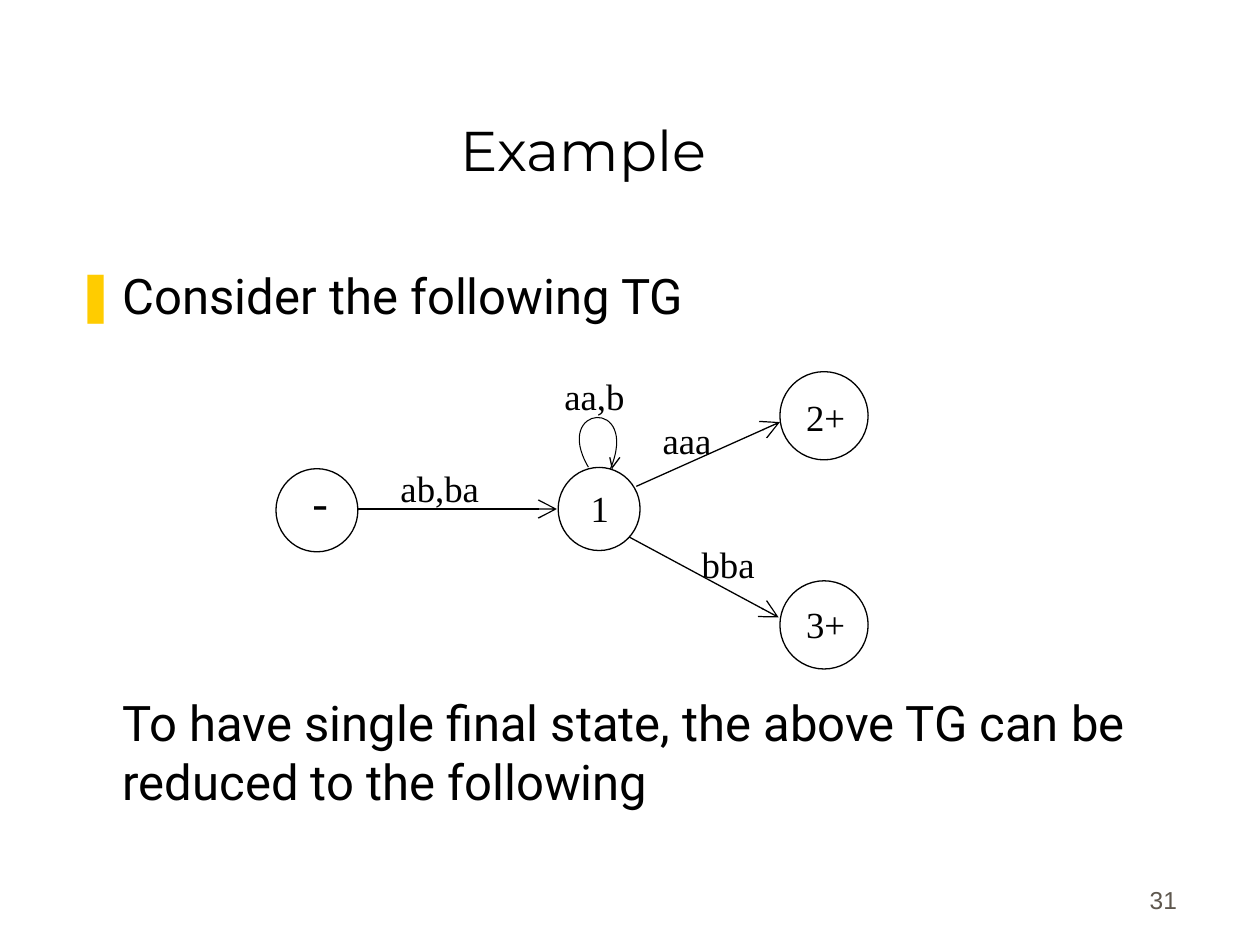
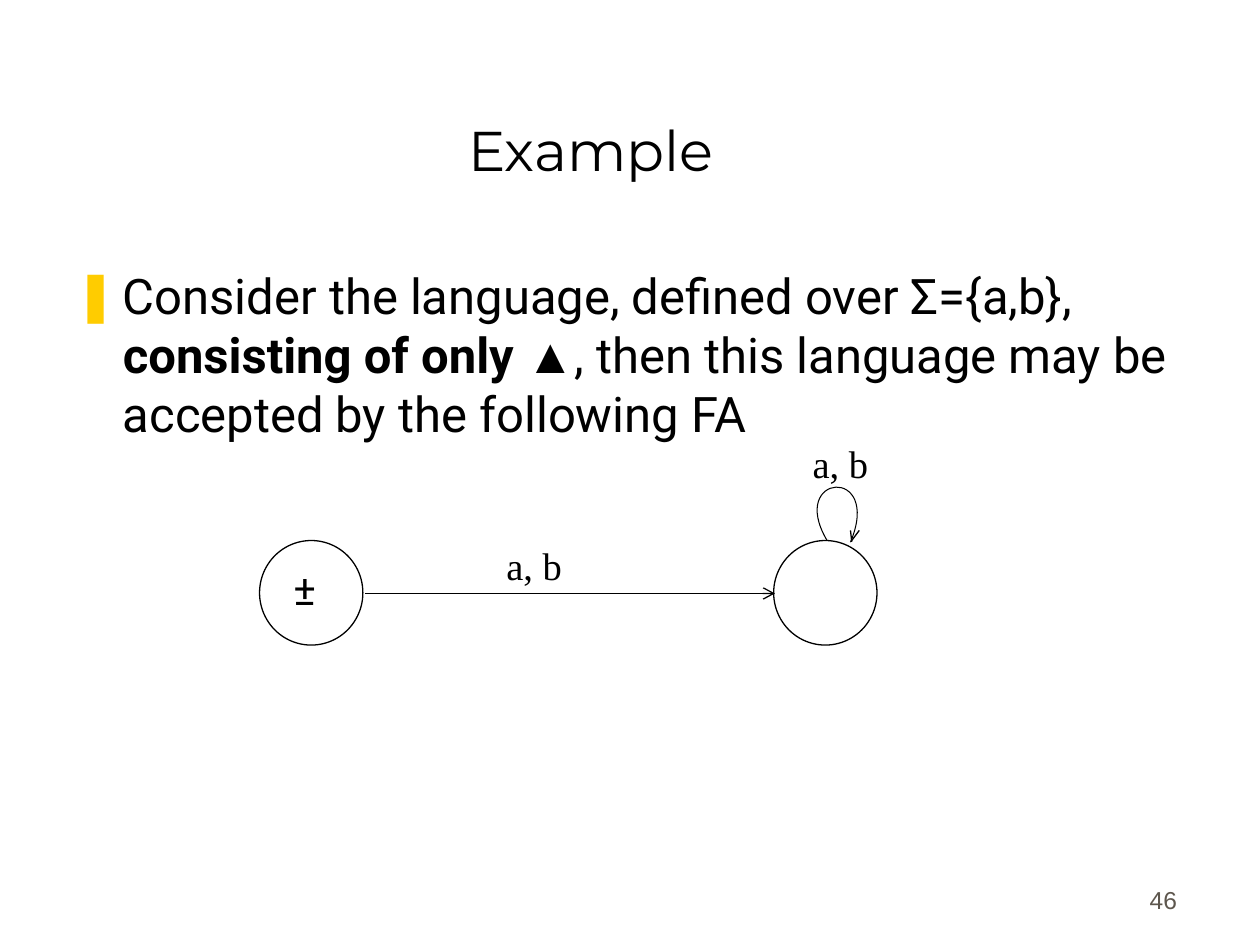
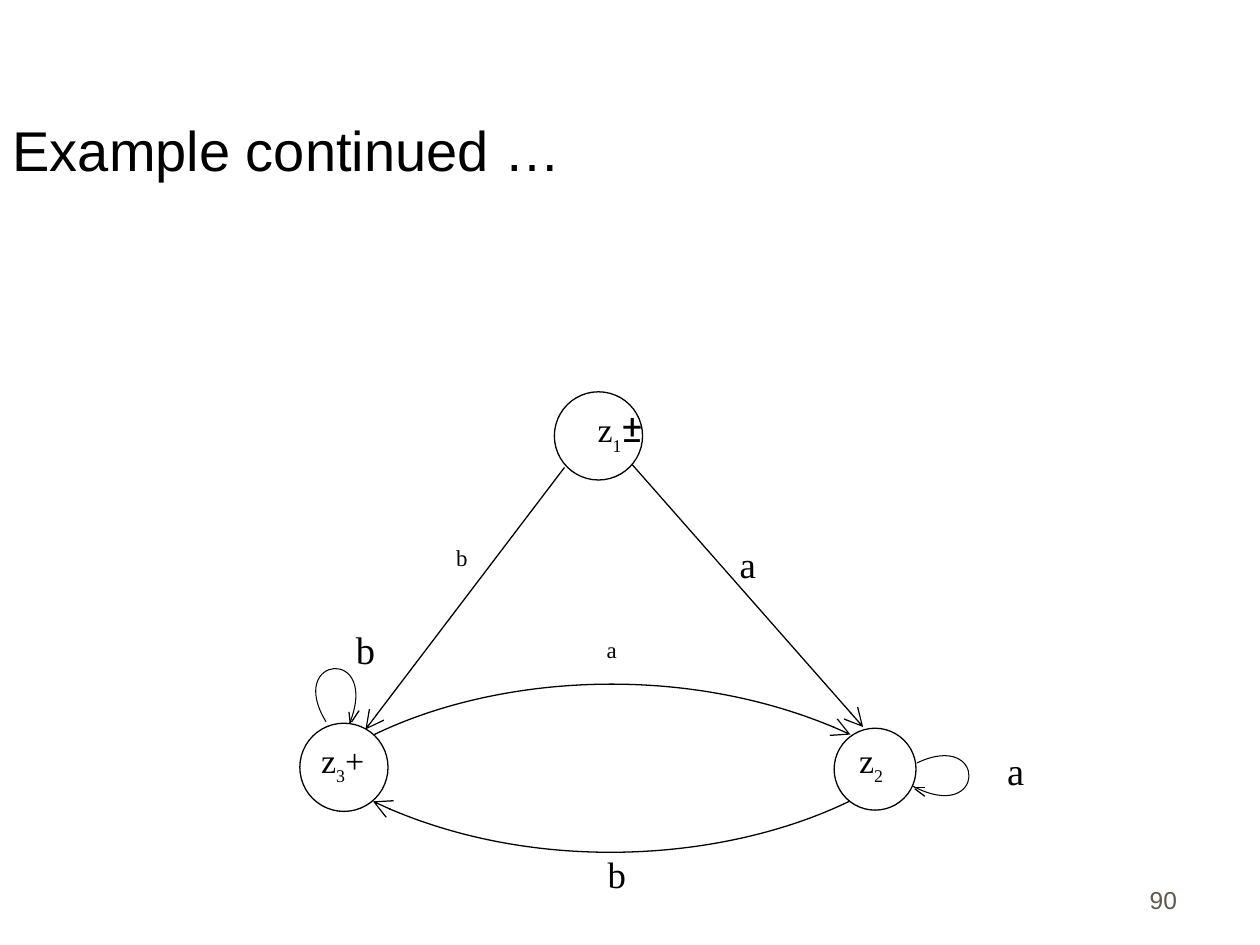
from lxml import etree
from pptx import Presentation
from pptx.dml.color import RGBColor
from pptx.enum import shapes, text
from pptx.oxml.ns import qn
from pptx.util import Inches, Pt

COLORS = {"ink": "000000", "paper": "FFFFFF", "bullet": "FFCC00", "number": "5E574E"}
TITLE_FONT, BODY_FONT, LABEL_FONT, NUMBER_FONT = "Montserrat", "Roboto", "Times New Roman", "Arial"
LEFT, CENTER, RIGHT = text.PP_ALIGN.LEFT, text.PP_ALIGN.CENTER, text.PP_ALIGN.RIGHT
# Start, two control points and end of a loop, as shares of its box
LOOP_OUTLINE = ((0.48, 1), (0, 0.2), (1, 0), (0.73, 1))


def color(name):
    return RGBColor.from_string(COLORS[name])


def format_run(run, font, size, color_name="ink", bold=False):
    run.font.name, run.font.size, run.font.bold = font, Pt(size), bold
    run.font.color.rgb = color(color_name)


def place(shape, left, top, width, height):
    shape.left, shape.top = Inches(left), Inches(top)
    shape.width, shape.height = Inches(width), Inches(height)


# Shared slide parts
def add_slide(presentation, layout, title, number, left=0.44, font=TITLE_FONT, align=CENTER):
    slide = presentation.slides.add_slide(presentation.slide_layouts[layout])
    place(slide.shapes.title, left, 0.25, 8.5, 1.25)
    frame = slide.shapes.title.text_frame
    frame.text = title
    frame.auto_size = text.MSO_AUTO_SIZE.NONE
    frame.vertical_anchor = text.MSO_ANCHOR.BOTTOM
    frame.paragraphs[0].alignment = align
    format_run(frame.paragraphs[0].runs[0], font, 32)
    number_box = add_label(slide, 7.36, 6.81, 2.08, 0.5, number, 14, RIGHT, NUMBER_FONT,
                           color_name="number")
    number_box.text_frame.vertical_anchor = text.MSO_ANCHOR.BOTTOM
    return slide


def set_bullet(paragraph, character):
    properties = paragraph._p.get_or_add_pPr()
    properties.set("marL", str(Inches(0.375)))
    properties.set("indent", str(Inches(-0.375 if character else 0)))
    if character:
        bullet_color = etree.SubElement(properties, qn("a:buClr"))
        etree.SubElement(bullet_color, qn("a:srgbClr")).set("val", COLORS["bullet"])
        etree.SubElement(properties, qn("a:buChar")).set("char", character)
    else:
        etree.SubElement(properties, qn("a:buNone"))


def fill_body(slide, paragraphs):
    """Each paragraph is (bullet, space before, [(words, font, bold), ...])."""
    body = slide.placeholders[1]
    place(body, 0.5, 2.06, 8.94, 4.56)
    frame = body.text_frame
    frame.auto_size = text.MSO_AUTO_SIZE.NONE
    for index, (bullet, space, pieces) in enumerate(paragraphs):
        paragraph = frame.add_paragraph() if index else frame.paragraphs[0]
        set_bullet(paragraph, bullet)
        paragraph.space_before = Pt(space)
        for words, font, bold in pieces:
            run = paragraph.add_run()
            run.text = words
            format_run(run, font, 28, bold=bold)


# Graph parts
def add_label(slide, left, top, width, height, words, size, align=LEFT, font=LABEL_FONT,
              spacing=None, color_name="ink"):
    box = slide.shapes.add_textbox(Inches(left), Inches(top), Inches(width), Inches(height))
    box.text_frame.word_wrap = True
    paragraph = box.text_frame.paragraphs[0]
    paragraph.text = words
    paragraph.alignment = align
    if spacing:
        paragraph.line_spacing = spacing
    format_run(paragraph.runs[0], font, size, color_name)
    return box


def add_state_name(slide, left, top, index, sign="", align=LEFT, sign_font=LABEL_FONT,
                   sign_size=19.4):
    box = add_label(slide, left, top, 0.98, 0.68, "z", 19.4, align, spacing=0.9)
    box.text_frame.margin_top = Inches(0.2)
    paragraph = box.text_frame.paragraphs[0]
    subscript = paragraph.add_run()
    subscript.text = index
    format_run(subscript, LABEL_FONT, 17.6)
    subscript.font._element.set("baseline", "-30000")
    if sign:
        run = paragraph.add_run()
        run.text = sign
        format_run(run, sign_font, sign_size)


def add_state(slide, left, top, width, height):
    circle = slide.shapes.add_shape(shapes.MSO_SHAPE.OVAL, Inches(left), Inches(top),
                                    Inches(width), Inches(height))
    circle.shadow.inherit = False
    circle.fill.solid()
    circle.fill.fore_color.rgb = color("paper")
    circle.line.color.rgb = color("ink")
    circle.line.width = Pt(0.75)


def style_line(shape, width, head):
    shape.line.color.rgb = color("ink")
    shape.line.width = Pt(width)
    if head:
        tail = etree.SubElement(shape.element.spPr.find(qn("a:ln")), qn("a:tailEnd"))
        for key, value in (("type", "arrow"), ("w", head), ("len", head)):
            tail.set(key, value)


def add_edge(slide, start, end, head="lg"):
    edge = slide.shapes.add_connector(shapes.MSO_CONNECTOR.STRAIGHT,
                                      *(Inches(value) for value in start + end))
    style_line(edge, 0.75, head)
    etree.SubElement(edge.element.spPr, qn("a:effectLst"))


def add_curve(slide, controls, width=0.75, head="lg"):
    points = [(Inches(x), Inches(y)) for x, y in controls]
    builder = slide.shapes.build_freeform(*points[0])
    builder.add_line_segments(points[1:], close=False)
    curve = builder.convert_to_shape()
    # Turn the three straight segments into one cubic segment
    segments = list(curve.element.iter(qn("a:lnTo")))
    cubic = etree.SubElement(segments[0].getparent(), qn("a:cubicBezTo"))
    for segment in segments:
        cubic.append(segment[0])
        segment.getparent().remove(segment)
    curve.shadow.inherit = False
    curve.fill.background()
    style_line(curve, width, head)
    return curve


def add_loop(slide, left, top, width, height, rotation, *barbs):
    outline = [(left + x * width, top + y * height) for x, y in LOOP_OUTLINE]
    add_curve(slide, outline, 0.6, None).rotation = rotation
    for start, end in barbs:
        add_edge(slide, start, end, None)


# Slides
def build_two_final_states(presentation):
    slide = add_slide(presentation, 1, "Example ", "31")
    closing = "To have single final state, the above TG can be reduced to the following"
    fill_body(slide, [("❚", 7, [("Consider the following TG", BODY_FONT, False)]),
                      (None, 210.3, [(closing, BODY_FONT, False)])])
    for left, top, width, height, words in ((5.47, 4.25, 0.7, 0.53, "bba"),
                                            (5.16, 3.27, 1.01, 0.56, "aaa")):
        add_label(slide, left, top, width, height, words, 21)
    for start, end in (((5.05, 3.86), (6.19, 3.35)), ((4.99, 4.26), (6.18, 4.9)),
                       ((2.83, 4.04), (4.42, 4.04))):
        add_edge(slide, start, end)
    for top in (2.95, 4.61):
        add_state(slide, 6.19, top, 0.7, 0.7)
    for left, top in ((4.43, 3.71), (2.19, 3.72)):
        add_state(slide, left, top, 0.65, 0.66)
    add_loop(slide, 4.36, 3.12, 0.7, 0.59, 5,
             ((4.86, 3.71), (4.92, 3.63)), ((4.84, 3.63), (4.86, 3.72)))
    for left, top, width, height, words in (
            (6.3, 3.08, 0.7, 0.71, "2+"), (6.3, 4.73, 0.7, 0.71, "3+"),
            (3.08, 3.65, 1.01, 0.56, "ab,ba"), (4.38, 2.92, 1.01, 0.56, "aa,b"),
            (4.59, 3.81, 0.66, 0.56, "1")):
        add_label(slide, left, top, width, height, words, 21)
    add_label(slide, 2.38, 3.75, 1.01, 0.56, "-", 26.8, spacing=0.9)


def build_empty_string_language(presentation):
    slide = add_slide(presentation, 1, "Example", "46")
    fill_body(slide, [("❚", 7, [
        ("Consider the language, defined over Σ={a,b}, ", BODY_FONT, False),
        ("consisting of only ", BODY_FONT, True),
        ("▲", LABEL_FONT, True),
        (", then this language may be accepted by the following FA", BODY_FONT, False)])])
    for left in (2.06, 6.14):
        add_state(slide, left, 4.29, 0.82, 0.83)
    add_edge(slide, (2.9, 4.71), (6.15, 4.71), "med")
    add_loop(slide, 6.23, 3.66, 0.75, 0.63, 5,
             ((6.76, 4.29), (6.82, 4.21)), ((6.75, 4.21), (6.76, 4.3)))
    for left, top in ((6.35, 3.44), (3.92, 4.25)):
        add_label(slide, left, top, 0.98, 0.67, "a, b", 22)
    add_label(slide, 2.23, 4.42, 0.98, 0.67, "±", 24, font=BODY_FONT)


def build_three_states(presentation):
    slide = add_slide(presentation, 5, "Example continued …", "90", 0, NUMBER_FONT, LEFT)
    for left, top, size in ((6.62, 5.78, 0.65), (2.38, 5.74, 0.7), (4.4, 3.11, 0.7)):
        add_state(slide, left, top, size, size)
    add_state_name(slide, 4.43, 3.02, "1", "±", CENTER, BODY_FONT, 22.2)
    add_state_name(slide, 6.72, 5.67, "2")
    add_state_name(slide, 2.45, 5.67, "3", "+")

    add_edge(slide, (4.48, 3.71), (2.9, 5.79))
    add_edge(slide, (5.02, 3.69), (6.85, 5.77))
    add_curve(slide, ((2.97, 5.83), (3.94, 5.36), (5.5, 5.25), (6.75, 5.83)))
    add_curve(slide, ((6.74, 6.36), (5.77, 6.83), (4.2, 6.95), (2.96, 6.36)))
    add_loop(slide, 7.21, 5.81, 0.75, 0.63, 100,
             ((7.26, 6.26), (7.34, 6.32)), ((7.34, 6.25), (7.25, 6.25)))
    add_loop(slide, 2.25, 5.1, 0.75, 0.63, 4,
             ((2.79, 5.73), (2.85, 5.64)), ((2.77, 5.65), (2.78, 5.74)))

    for left, top, width, height, words, size, spacing in (
            (7.64, 5.88, 0.84, 0.56, "a", 22, None),
            (2.48, 4.92, 0.84, 0.56, "b", 22, None),
            (4.7, 6.71, 0.39, 0.46, "b", 21, None),
            (5.74, 4.25, 0.39, 0.46, "a", 21, None),
            (4.69, 5.04, 0.33, 0.33, "a", 13.1, 0.8),
            (3.5, 4.31, 0.33, 0.33, "b", 13.1, 0.8)):
        add_label(slide, left, top, width, height, words, size, CENTER, spacing=spacing)


def main():
    presentation = Presentation()
    presentation.slide_width, presentation.slide_height = Inches(10), Inches(7.5)
    build_two_final_states(presentation)
    build_empty_string_language(presentation)
    build_three_states(presentation)
    presentation.save("out.pptx")


if __name__ == "__main__":
    main()
